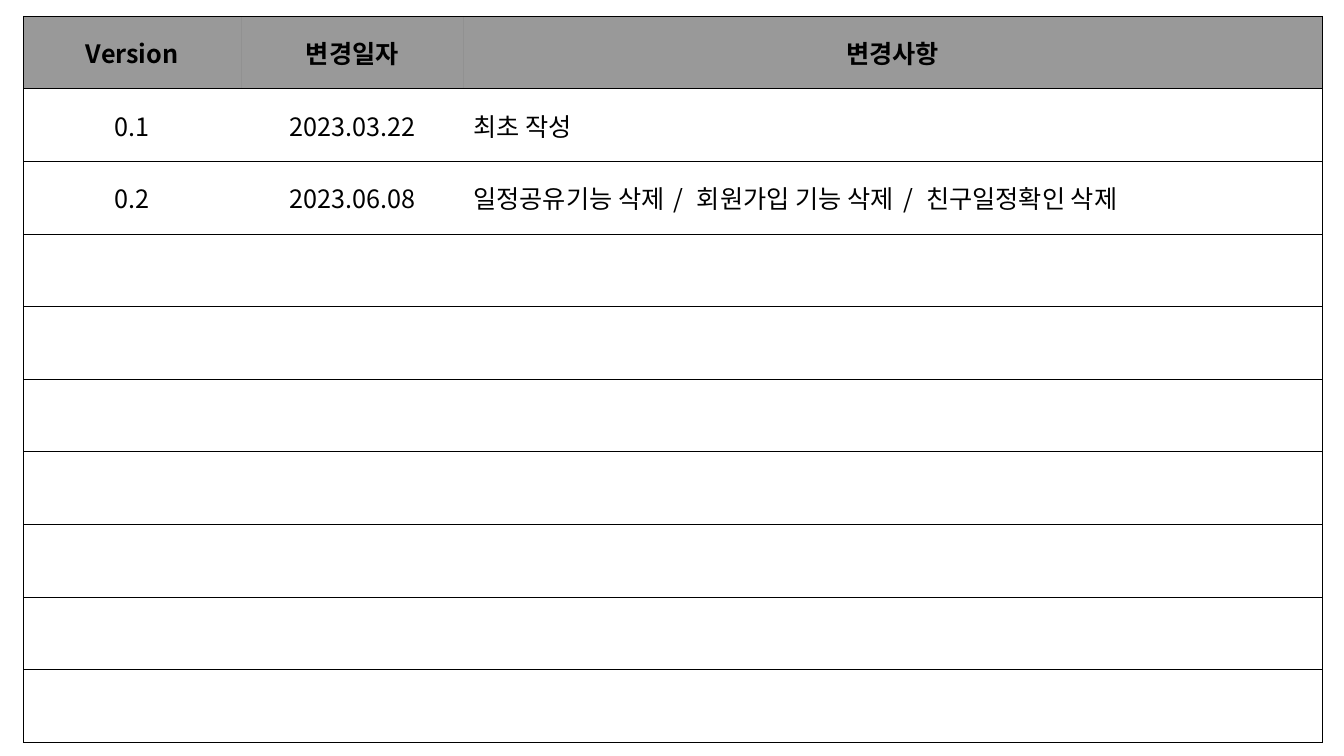
from dataclasses import dataclass

from lxml.etree import SubElement
from pptx import Presentation
from pptx.dml.color import RGBColor
from pptx.enum.text import MSO_ANCHOR, PP_ALIGN
from pptx.oxml import parse_xml
from pptx.oxml.ns import nsdecls, qn
from pptx.table import _Cell
from pptx.util import Pt


@dataclass(frozen=True)
class Theme:
    ink: str = "000000"
    header_opacity: int = 40
    font: str = "Noto Sans CJK KR"
    text_size: float = 18
    border_width: float = 0.5
    separator_spacing: float = 2.7


@dataclass(frozen=True)
class Column:
    heading: str
    width: float
    align: PP_ALIGN


@dataclass(frozen=True)
class Revision:
    version: str
    date: str
    changes: tuple[str, ...]


THEME = Theme()
SLIDE_WIDTH, SLIDE_HEIGHT = 960, 540
TABLE_LEFT, TABLE_TOP = 16.7, 11.6
ROW_COUNT, ROW_HEIGHT = 10, 51.85
SEPARATOR = " / "

COLUMNS = (
    Column("Version", 155.6, PP_ALIGN.CENTER),
    Column("변경일자", 158.6, PP_ALIGN.CENTER),
    Column("변경사항", 613.6, PP_ALIGN.LEFT),
)
REVISIONS = (
    Revision("0.1", "2023.03.22", ("최초 작성",)),
    Revision("0.2", "2023.06.08",
             ("일정공유기능 삭제", "회원가입 기능 삭제", "친구일정확인 삭제")),
)


def set_borders(cell: _Cell, visible_sides: str) -> None:
    """Draw the sides named by the letters L, R, T and B; hide the others."""
    properties = cell._tc.get_or_add_tcPr()
    for index, side in enumerate("LRTB"):
        paint = (f'<a:solidFill><a:srgbClr val="{THEME.ink}"/></a:solidFill>'
                 if side in visible_sides else "<a:noFill/>")
        border = parse_xml(
            f'<a:ln{side} {nsdecls("a")} w="{Pt(THEME.border_width)}">{paint}</a:ln{side}>')
        properties.insert(index, border)


def fill_header(cell: _Cell) -> None:
    cell.fill.solid()
    cell.fill.fore_color.rgb = RGBColor.from_string(THEME.ink)
    color = cell._tc.tcPr.find(f"{qn('a:solidFill')}/{qn('a:srgbClr')}")
    SubElement(color, qn("a:alpha"), val=str(THEME.header_opacity * 1000))


def write_cell(cell: _Cell, items: tuple[str, ...], align: PP_ALIGN, bold: bool) -> None:
    """Write the items in one line, with widely set separators between them."""
    paragraph = cell.text_frame.paragraphs[0]
    paragraph.alignment = align
    font_format = {"name": THEME.font, "size": Pt(THEME.text_size), "bold": bold}
    pieces = [piece for item in items for piece in (SEPARATOR, item)][1:]
    for piece in pieces:
        run = paragraph.add_run()
        run.text = piece
        for attribute, value in font_format.items():
            setattr(run.font, attribute, value)
        run.font.color.rgb = RGBColor.from_string(THEME.ink)
        properties = run._r.get_or_add_rPr()
        SubElement(properties, qn("a:ea"), typeface=THEME.font)
        if piece == SEPARATOR:
            properties.set("spc", str(round(THEME.separator_spacing * 100)))


def main() -> None:
    presentation = Presentation()
    presentation.slide_width = Pt(SLIDE_WIDTH)
    presentation.slide_height = Pt(SLIDE_HEIGHT)
    slide = presentation.slides.add_slide(presentation.slide_layouts[6])

    history = slide.shapes.add_table(
        ROW_COUNT, len(COLUMNS), Pt(TABLE_LEFT), Pt(TABLE_TOP),
        Pt(sum(column.width for column in COLUMNS)), Pt(ROW_COUNT * ROW_HEIGHT)).table
    history.first_row = history.horz_banding = False
    for table_column, column in zip(history.columns, COLUMNS):
        table_column.width = Pt(column.width)

    entries = [tuple((column.heading,) for column in COLUMNS)]
    entries += [((entry.version,), (entry.date,), entry.changes) for entry in REVISIONS]
    last_column = len(COLUMNS) - 1
    for row_index, row in enumerate(history.rows):
        row.height = Pt(ROW_HEIGHT)
        is_header = row_index == 0
        for column_index, cell in enumerate(row.cells):
            cell.vertical_anchor = MSO_ANCHOR.MIDDLE
            if is_header:
                fill_header(cell)
            else:
                cell.fill.background()
            outer_side = {0: "L", last_column: "R"}.get(column_index, "")
            set_borders(cell, "TB" + outer_side)
            if row_index < len(entries):
                align = PP_ALIGN.CENTER if is_header else COLUMNS[column_index].align
                write_cell(cell, entries[row_index][column_index], align, is_header)

    presentation.save("out.pptx")


if __name__ == "__main__":
    main()
